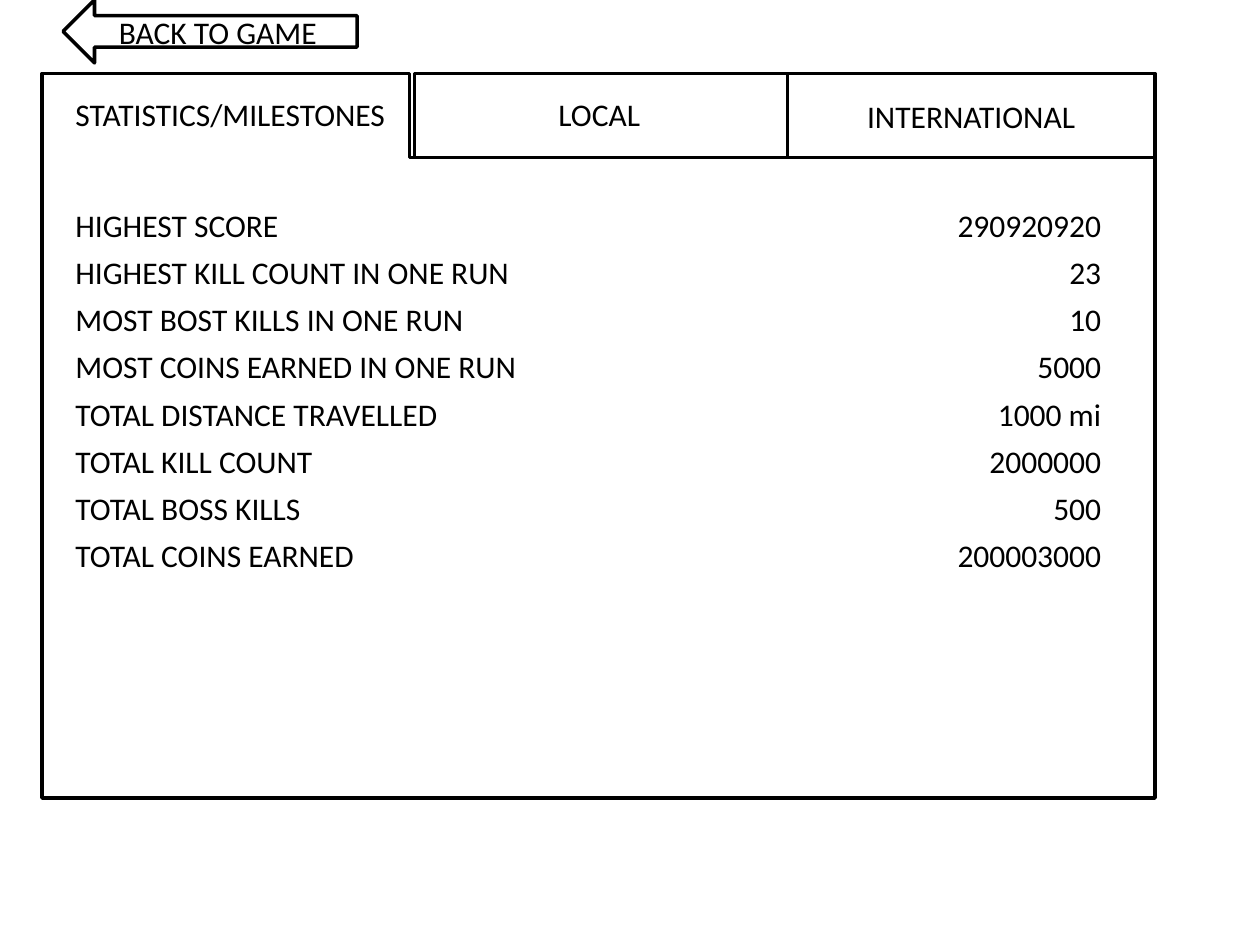
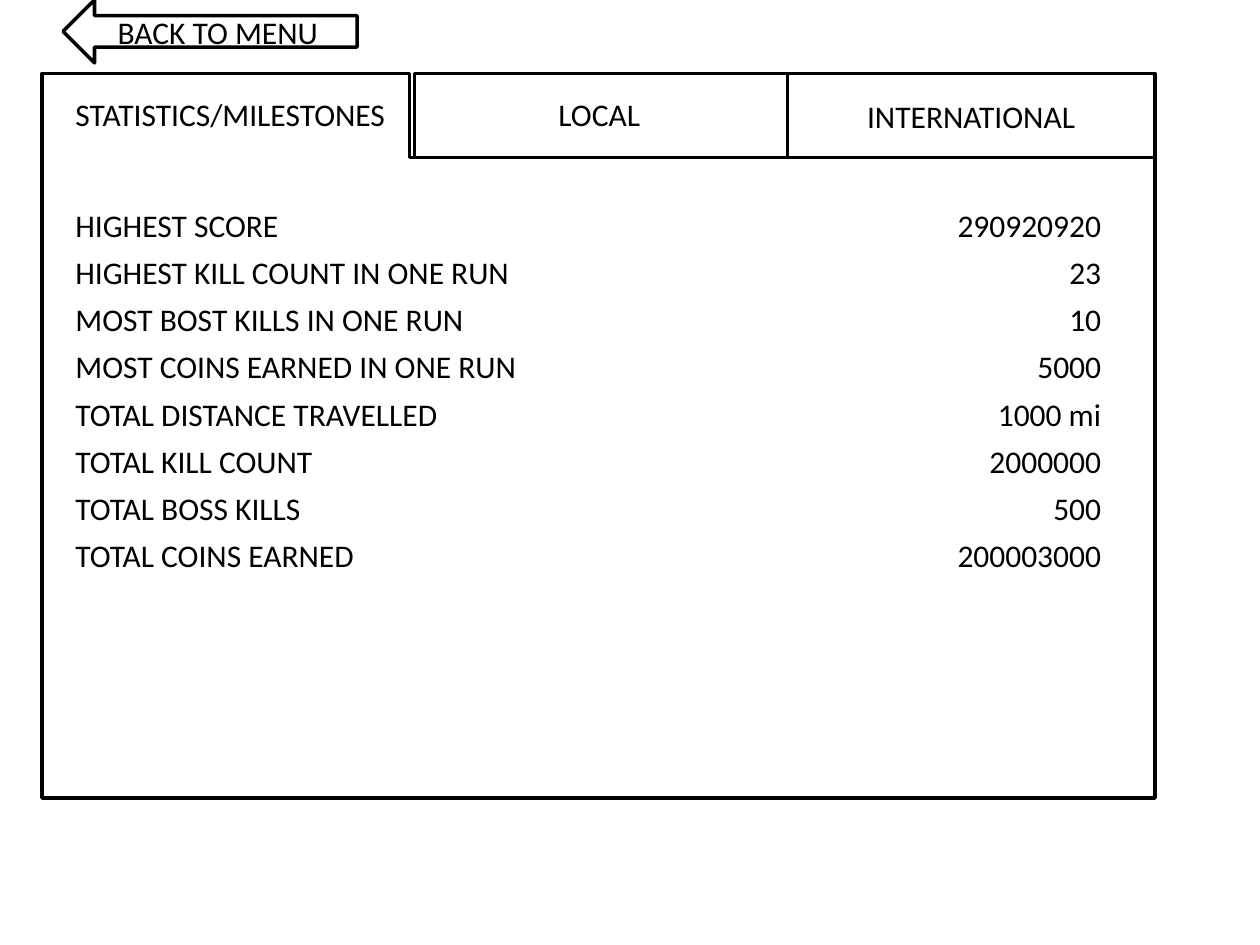
from dataclasses import dataclass

import pptx
import pptx.dml.color
import pptx.enum.shapes
import pptx.enum.text
import pptx.oxml.ns
import pptx.util
from lxml import etree

COLORS = {"ink": "000000", "paper": "FFFFFF"}
FONT = "Calibri"
COLUMNS, ROWS = 120, 90
TEXT_HEIGHT = 4.8
VALUE_EDGE = 97.7

Shapes = pptx.enum.shapes.MSO_SHAPE
Align = pptx.enum.text.PP_ALIGN
Anchor = pptx.enum.text.MSO_ANCHOR


@dataclass(frozen=True)
class Area:
    column: float
    row: float
    columns: float
    rows: float


@dataclass(frozen=True)
class Statistic:
    label: str
    value: str


BACK_ARROW = Area(6, 0, 28, 6)
LOCAL_TAB = Area(39.5, 7, 35.5, 8)
INTERNATIONAL_TAB = Area(75, 7, 35, 8)
ACTIVE_TITLE = Area(6, 8.5, 32, TEXT_HEIGHT)
LOCAL_TITLE = Area(52, 8.5, 33.5, TEXT_HEIGHT)
PANEL_OUTLINE = [(4, 7), (39, 7), (39, 15), (110, 15), (110, 76), (4, 76), (4, 15)]
FIRST_STATISTIC_ROW, STATISTIC_PITCH = 19, 4.5

STATISTICS = [
    Statistic("HIGHEST SCORE", "290920920"),
    Statistic("HIGHEST KILL COUNT IN ONE RUN", "23"),
    Statistic("MOST BOST KILLS IN ONE RUN", "10"),
    Statistic("MOST COINS EARNED IN ONE RUN", "5000"),
    Statistic("TOTAL DISTANCE TRAVELLED", "1000 mi"),
    Statistic("TOTAL KILL COUNT", "2000000"),
    Statistic("TOTAL BOSS KILLS", "500"),
    Statistic("TOTAL COINS EARNED", "200003000"),
]

deck = pptx.Presentation()
deck.slide_width = pptx.util.Inches(10)
deck.slide_height = pptx.util.Inches(7.5)
CELL_WIDTH = deck.slide_width / COLUMNS
CELL_HEIGHT = deck.slide_height / ROWS


def place(area: Area) -> tuple[int, int, int, int]:
    return (round(area.column * CELL_WIDTH), round(area.row * CELL_HEIGHT),
            round(area.columns * CELL_WIDTH), round(area.rows * CELL_HEIGHT))


def color(name: str) -> pptx.dml.color.RGBColor:
    return pptx.dml.color.RGBColor.from_string(COLORS[name])


def outline(shape) -> None:
    shape.shadow.inherit = False
    shape.fill.solid()
    shape.fill.fore_color.rgb = color("paper")
    shape.line.color.rgb = color("ink")
    shape.line.width = pptx.util.Pt(2)


def write(paragraph, text: str) -> None:
    run = paragraph.add_run()
    run.text = text
    run.font.name = FONT
    run.font.size = pptx.util.Pt(18)
    run.font.color.rgb = color("ink")


def add_button(slide, kind: Shapes, area: Area, caption: str = "") -> None:
    button = slide.shapes.add_shape(kind, *place(area))
    outline(button)
    if caption:
        button.text_frame.vertical_anchor = Anchor.MIDDLE
        paragraph = button.text_frame.paragraphs[0]
        paragraph.alignment = Align.CENTER
        write(paragraph, caption)


def add_panel(slide) -> None:
    builder = slide.shapes.build_freeform(*PANEL_OUTLINE[0], scale=(CELL_WIDTH, CELL_HEIGHT))
    builder.add_line_segments(PANEL_OUTLINE[1:], close=True)
    outline(builder.convert_to_shape())


def add_text(slide, area: Area, text: str):
    frame = slide.shapes.add_textbox(*place(area)).text_frame
    frame.word_wrap = True
    frame.auto_size = pptx.enum.text.MSO_AUTO_SIZE.SHAPE_TO_FIT_TEXT
    write(frame.paragraphs[0], text)
    return frame.paragraphs[0]


def add_statistic(slide, index: int, statistic: Statistic) -> None:
    row = FIRST_STATISTIC_ROW + index * STATISTIC_PITCH
    paragraph = add_text(slide, Area(6, row, 101, TEXT_HEIGHT), statistic.label)
    write(paragraph, "\t" + statistic.value)
    tabs = etree.SubElement(paragraph._p.get_or_add_pPr(), pptx.oxml.ns.qn("a:tabLst"))
    etree.SubElement(tabs, pptx.oxml.ns.qn("a:tab"),
                     pos=str(round(VALUE_EDGE * CELL_WIDTH)), algn="r")


def add_statistics_screen(back_caption: str) -> None:
    slide = deck.slides.add_slide(deck.slide_layouts[6])
    add_button(slide, Shapes.RECTANGLE, LOCAL_TAB)
    add_button(slide, Shapes.RECTANGLE, INTERNATIONAL_TAB, "INTERNATIONAL")
    add_panel(slide)
    add_text(slide, ACTIVE_TITLE, "STATISTICS/MILESTONES")
    for index, statistic in enumerate(STATISTICS):
        add_statistic(slide, index, statistic)
    add_text(slide, LOCAL_TITLE, "LOCAL")
    add_button(slide, Shapes.LEFT_ARROW, BACK_ARROW, back_caption)


for destination in ("GAME", "MENU"):
    add_statistics_screen(f"BACK TO {destination}")

deck.save("out.pptx")
